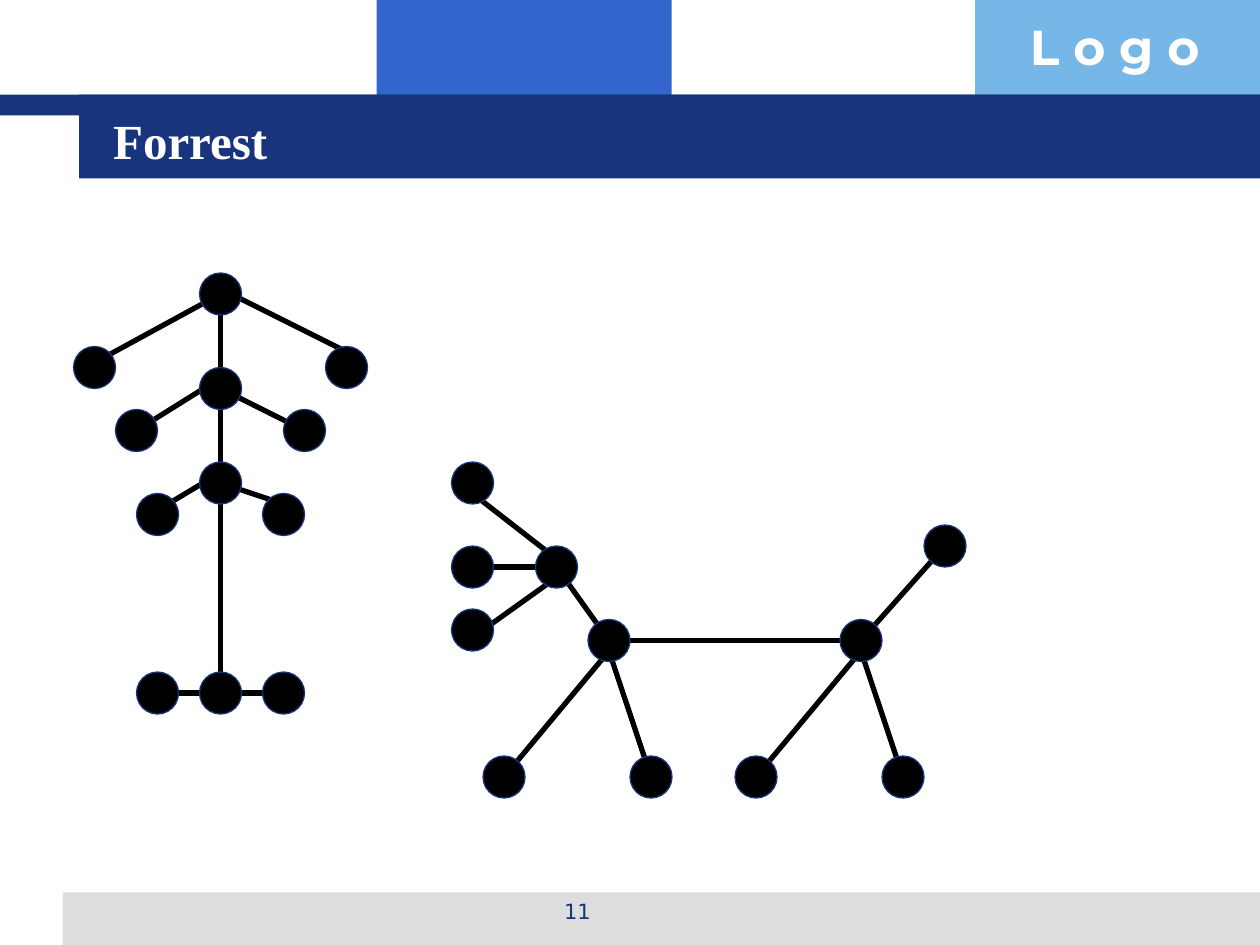
from pptx import Presentation
from pptx.dml.color import RGBColor
from pptx.enum.shapes import MSO_CONNECTOR as Line, MSO_SHAPE as Shape
from pptx.enum.text import MSO_ANCHOR as Anchor, PP_ALIGN as Align
from pptx.oxml.ns import qn
from pptx.util import Pt
from lxml import etree

COLORS = {"navy": "17347D", "blue": "3366CC", "sky": "77B7E7",
          "gray": "DDDDDD", "white": "FFFFFF", "black": "000000"}

# left, top, width, height, colour
BANDS = [
    (215.3, 0, 168.5, 66, "blue"),
    (557.3, 0, 162.7, 66, "sky"),
    (36, 510, 684, 30, "gray"),
    (0, 54, 720, 12, "navy"),
    (45.3, 54, 674.7, 48, "navy"),
]

# text, box, font, size, colour, bold, alignment, anchor
TEXTS = [
    ("L o g o", (581.5, 6, 138.5, 41), "Montserrat", 28, "white", True,
     Align.LEFT, Anchor.TOP),
    ("11", (246, 510, 168, 25), "DejaVu Sans", 12, "navy", False,
     Align.CENTER, Anchor.TOP),
    ("Forrest", (57.6, 57.6, 614, 44.6), "Times New Roman", 28, "white", True,
     Align.LEFT, Anchor.MIDDLE),
]

# Nodes and edges lie on a square grid
GRID = 6
DOT = 24

# Node centres, in grid steps
TREES = [
    [(21, 28), (21, 37), (21, 46), (21, 66), (9, 35), (33, 35), (13, 41),
     (29, 41), (15, 49), (27, 49), (15, 66), (27, 66)],
    [(45, 46), (45, 54), (45, 60), (53, 54), (58, 61), (48, 74), (62, 74),
     (82, 61), (72, 74), (86, 74), (90, 52)],
]

# Edge ends x1, y1, x2, y2, in grid steps
EDGES = [
    [(21, 30, 21, 38), (21, 37, 21, 45), (21, 46, 21, 66),
     (21, 28, 10, 34), (22, 28, 34, 34), (21, 36, 13, 41),
     (21, 37, 29, 41), (21, 45, 16, 48), (21, 46, 27, 48),
     (21, 66, 15, 66), (21, 66, 27, 66)],
    [(54, 54, 45, 47), (53, 54, 46, 54), (53, 55, 46, 60),
     (58, 61, 53, 54), (58, 62, 48, 74), (58, 62, 62, 74),
     (81, 61, 59, 61), (82, 62, 72, 74), (82, 62, 86, 74),
     (82, 61, 90, 52)],
]


def rgb(name):
    return RGBColor.from_string(COLORS[name])


def add_solid(slide, kind, box, color, edge=None):
    shape = slide.shapes.add_shape(kind, *map(Pt, box))
    shape.shadow.inherit = False
    shape.fill.solid()
    shape.fill.fore_color.rgb = rgb(color)
    if edge:
        shape.line.color.rgb = rgb(edge)
        shape.line.width = Pt(0.75)
    else:
        shape.line.fill.background()


def add_text(slide, text, box, face, size, color, bold, align, anchor):
    frame = slide.shapes.add_textbox(*map(Pt, box)).text_frame
    frame.word_wrap = True
    frame.vertical_anchor = anchor
    frame.text = text
    para = frame.paragraphs[0]
    para.alignment = align
    font = para.runs[0].font
    font.name, font.size, font.bold = face, Pt(size), bold
    font.color.rgb = rgb(color)


def add_edge(slide, ends):
    edge = slide.shapes.add_connector(
        Line.STRAIGHT, *(Pt(n * GRID) for n in ends))
    edge.line.color.rgb = rgb("black")
    edge.line.width = Pt(3)
    etree.SubElement(edge._element.spPr, qn("a:effectLst"))


def add_node(slide, x, y):
    box = (x * GRID - DOT / 2, y * GRID - DOT / 2, DOT, DOT)
    add_solid(slide, Shape.OVAL, box, "black", "navy")


def main():
    prs = Presentation()
    prs.slide_width, prs.slide_height = Pt(720), Pt(540)
    slide = prs.slides.add_slide(prs.slide_layouts[6])
    for *box, color in BANDS:
        add_solid(slide, Shape.RECTANGLE, box, color)
    for item in TEXTS:
        add_text(slide, *item)
    for nodes, edges in zip(TREES, EDGES):
        for ends in edges:
            add_edge(slide, ends)
        for x, y in nodes:
            add_node(slide, x, y)
    prs.save("out.pptx")


if __name__ == "__main__":
    main()
